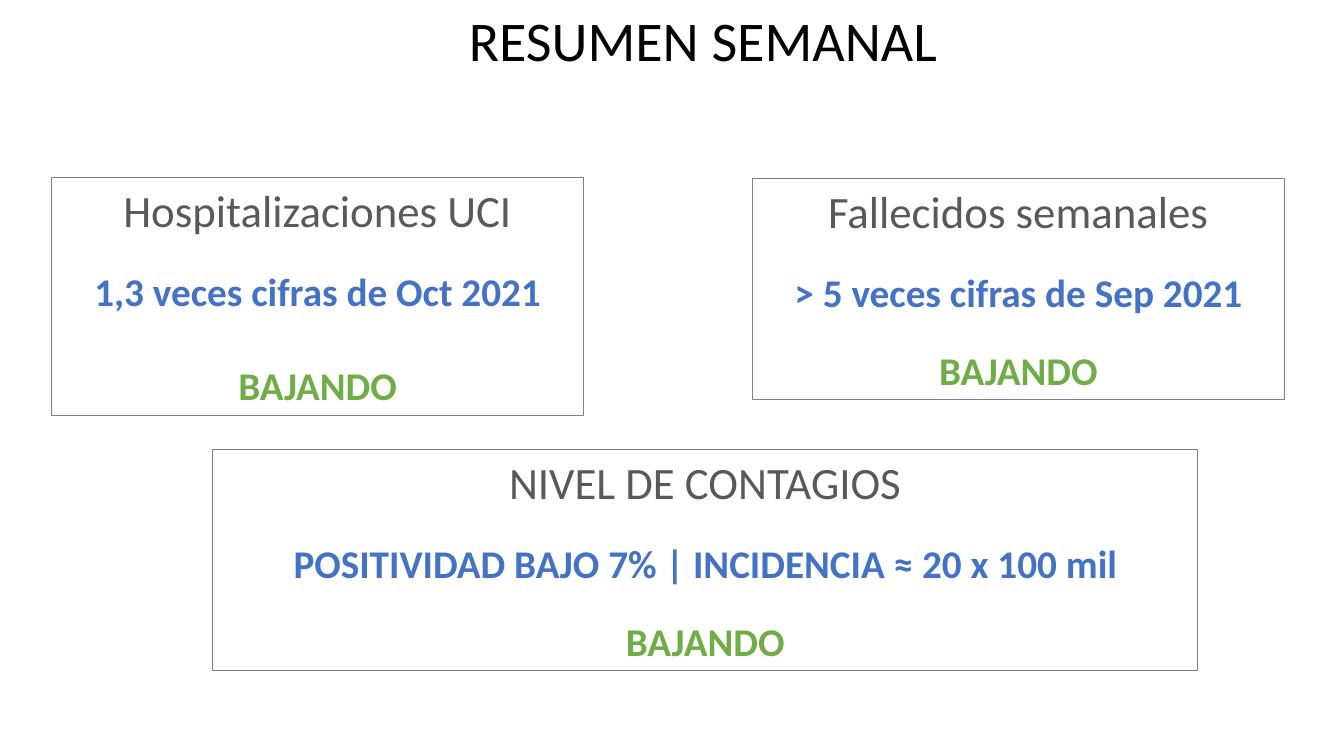
from pptx import Presentation
from pptx.dml.color import RGBColor
from pptx.enum.shapes import MSO_SHAPE
from pptx.enum.text import MSO_ANCHOR, MSO_AUTO_SIZE, PP_ALIGN
from pptx.util import Inches, Pt

FONT = "Calibri"
TITLE = "RESUMEN SEMANAL"
TREND = "BAJANDO"
# left, top, width, height (inches), heading, figure, gap before the trend (points)
CARDS = [
    (0.51, 1.76, 5.28, 2.36, "Hospitalizaciones UCI", "1,3 veces cifras de Oct 2021", 34),
    (7.46, 1.77, 5.28, 2.19, "Fallecidos semanales", "> 5 veces cifras de Sep 2021", 22),
    (2.11, 4.46, 9.77, 2.19, "NIVEL DE CONTAGIOS",
     "POSITIVIDAD BAJO 7% | INCIDENCIA ≈ 20 x 100 mil", 22),
]
FIGURE_GAP = 22


def color(hex_code):
    return RGBColor.from_string(hex_code)


def style(para, size, hex_code, bold=False, align=PP_ALIGN.CENTER, gap=0):
    para.alignment = align
    para.space_before = Pt(gap)
    font = para.font
    font.name, font.size, font.bold = FONT, Pt(size), bold
    font.color.rgb = color(hex_code)


def add_card(page, left, top, width, height, heading, figure, trend_gap):
    box = page.shapes.add_shape(MSO_SHAPE.RECTANGLE, Inches(left), Inches(top),
                                Inches(width), Inches(height))
    box.shadow.inherit = False
    box.fill.background()
    box.line.color.rgb = color("808080")
    box.line.width = Pt(0.75)
    frame = box.text_frame
    frame.word_wrap = True
    frame.vertical_anchor = MSO_ANCHOR.TOP
    frame.text = "\n".join((heading, figure, TREND))
    heading_para, figure_para, trend_para = frame.paragraphs
    style(heading_para, 32, "595959")
    style(figure_para, 28, "4472C4", bold=True, gap=FIGURE_GAP)
    style(trend_para, 28, "70AD47", bold=True, gap=trend_gap)


def main():
    deck = Presentation()
    deck.slide_width, deck.slide_height = Inches(13.33), Inches(7.5)
    page = deck.slides.add_slide(deck.slide_layouts[5])

    title = page.shapes.title
    title.left, title.top = Inches(4.55), Inches(0)
    title.width, title.height = Inches(4.89), Inches(0.77)
    frame = title.text_frame
    frame.text = TITLE
    frame.word_wrap = False
    frame.auto_size = MSO_AUTO_SIZE.SHAPE_TO_FIT_TEXT
    frame.vertical_anchor = MSO_ANCHOR.TOP
    style(frame.paragraphs[0], 40, "000000", align=PP_ALIGN.LEFT)

    for card in CARDS:
        add_card(page, *card)
    deck.save("out.pptx")


if __name__ == "__main__":
    main()
